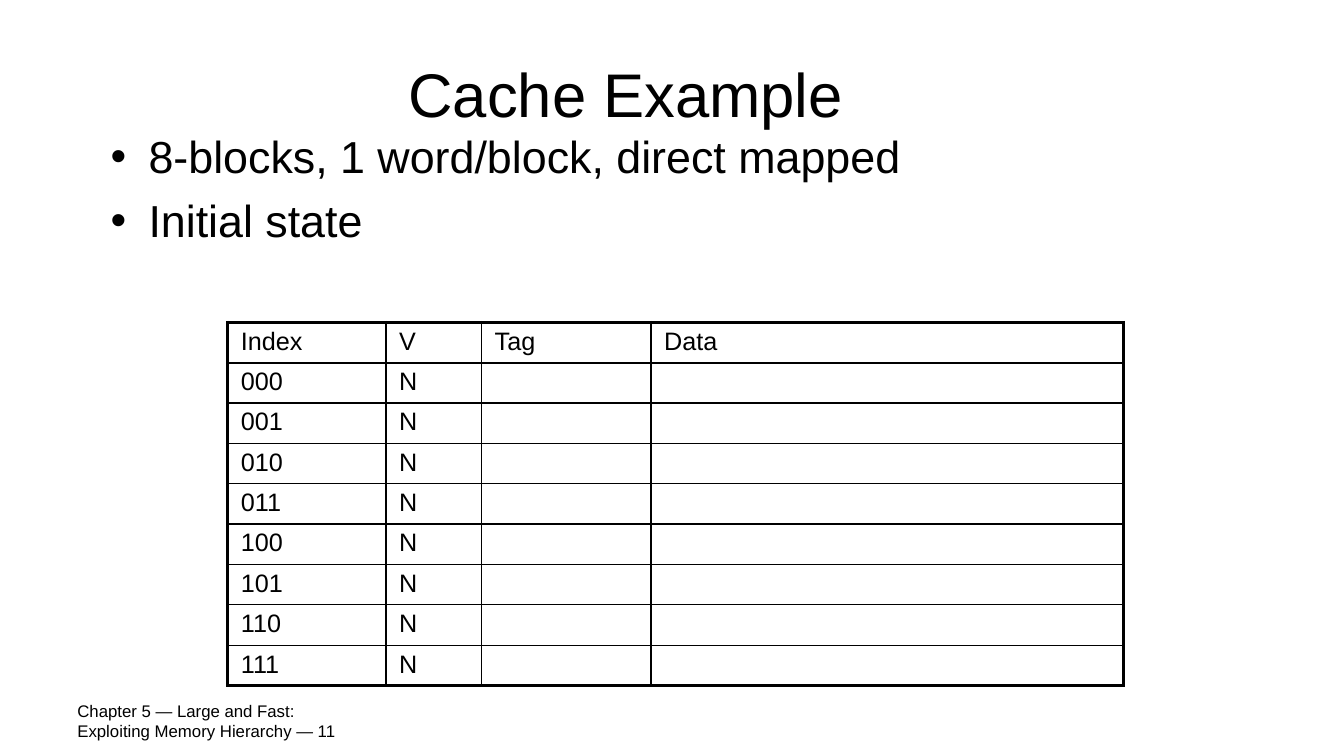
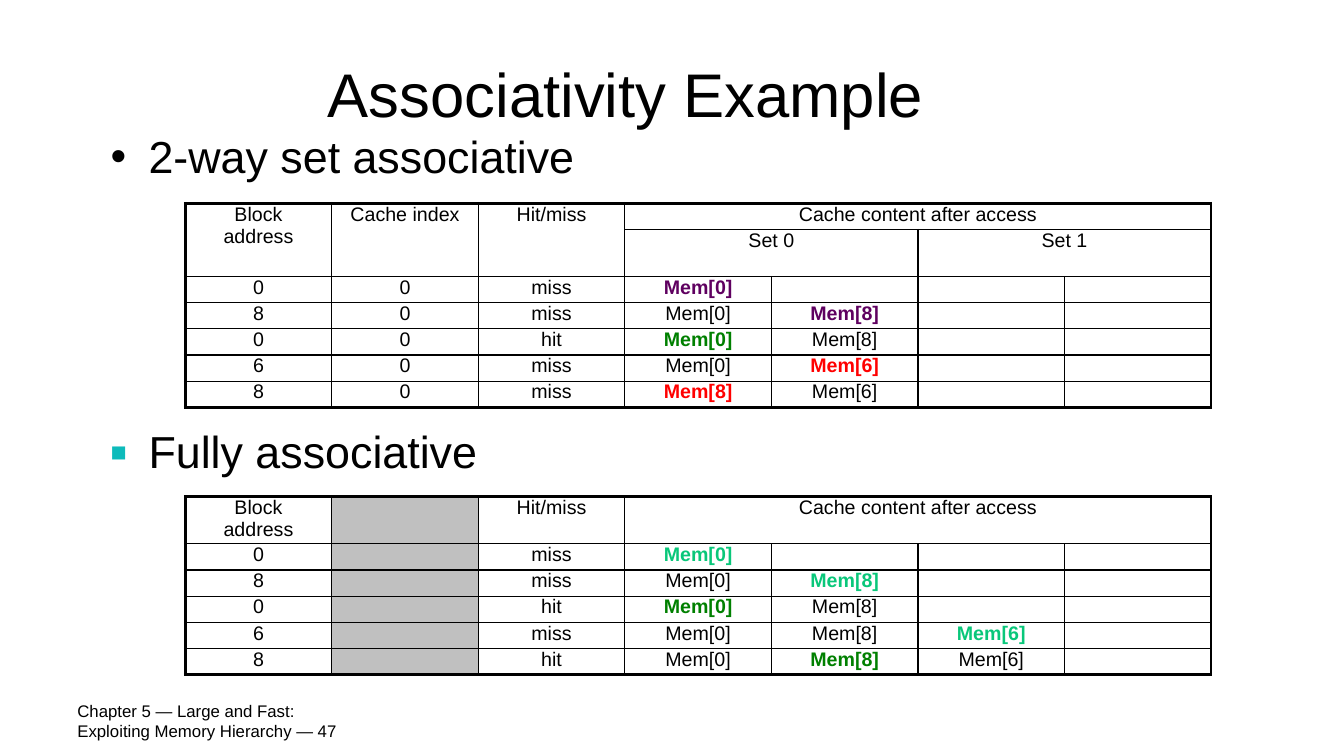
from lxml import etree
from pptx import Presentation
from pptx import util as u
from pptx.dml.color import RGBColor
from pptx.enum import text
from pptx.oxml.ns import qn

Pt = u.Pt
BLACK, GRAY, TEAL = "000000", "C0C0C0", "0DBBBB"
PURPLE, GREEN, RED, MINT = "5F0060", "008000", "FF0000", "09C77A"
THIN, HEADER_RULE, OUTER = 1, 1.5, 2.25
CENTER = text.PP_ALIGN.CENTER


def rgb(value):
    return RGBColor.from_string(value)


class Deck:
    font = "Arial"

    def __init__(self):
        self.prs = Presentation()
        self.prs.slide_width, self.prs.slide_height = Pt(960), Pt(540)
        self.s = None

    def slide(self, title, number):
        self.s = self.prs.slides.add_slide(self.prs.slide_layouts[6])
        footer = f"Chapter 5 — Large and Fast: Exploiting Memory Hierarchy — {number}"
        self.text(48.2, 500.4, 224, 28.8, [footer], 12, middle=True)
        self.text(48.2, 21.6, 797.8, 90, [title], 44, CENTER, middle=True)

    def style(self, p, size, color=BLACK, bold=False):
        f = p.font
        f.name, f.size, f.bold = self.font, Pt(size), bold
        f.color.rgb = rgb(color)

    def text(self, x, y, w, h, lines, size, align=None, middle=False):
        tf = self.s.shapes.add_textbox(Pt(x), Pt(y), Pt(w), Pt(h)).text_frame
        tf.word_wrap = True
        if middle:
            tf.vertical_anchor = text.MSO_ANCHOR.MIDDLE
        for i, line in enumerate(lines):
            p = tf.paragraphs[0] if i == 0 else tf.add_paragraph()
            p.text, p.alignment = line, align
            self.style(p, size)
        return tf

    def bullets(self, y, h, lines, char="•", color=None, scale=None, spacing=None):
        tf = self.text(72, y, 868, h, lines, 32)
        for i, p in enumerate(tf.paragraphs):
            if i:
                p.space_before = Pt(7.4)
            if spacing:
                p.line_spacing = spacing
            pPr = p._p.get_or_add_pPr()
            pPr.set("marL", str(Pt(27)))
            pPr.set("indent", str(-Pt(27)))
            marks = []
            if color:
                marks.append(etree.Element(qn("a:buClr")))
                etree.SubElement(marks[-1], qn("a:srgbClr"), val=color)
            if scale:
                marks.append(etree.Element(qn("a:buSzPct"), val=str(scale * 1000)))
            marks.append(etree.Element(qn("a:buFont"), typeface=self.font))
            marks.append(etree.Element(qn("a:buChar"), char=char))
            defaults = pPr.find(qn("a:defRPr"))
            for mark in marks:
                defaults.addprevious(mark)

    def borders(self, cell, widths):
        tcPr = cell._tc.get_or_add_tcPr()
        for i, (side, width) in enumerate(zip("LRTB", widths)):
            ln = etree.Element(qn(f"a:ln{side}"), w=str(Pt(width)))
            fill = etree.SubElement(ln, qn("a:solidFill"))
            etree.SubElement(fill, qn("a:srgbClr"), val=BLACK)
            tcPr.insert(i, ln)

    def table(self, x, y, cols, heights, rows, size, inset=0, align=None,
              spans=None, shaded=None, rule=THIN):
        spans = spans or {}
        n_rows, n_cols = len(heights), len(cols)
        frame = self.s.shapes.add_table(n_rows, n_cols, Pt(x), Pt(y),
                                        Pt(sum(cols)), Pt(sum(heights)))
        tbl = frame.table
        tbl.first_row = tbl.horz_banding = False
        for col, width in zip(tbl.columns, cols):
            col.width = Pt(width)
        for row, height in zip(tbl.rows, heights):
            row.height = Pt(height)
        for r in range(n_rows):
            for c in range(n_cols):
                cell = tbl.cell(r, c)
                down, across = spans.get((r, c), (1, 1))
                bottom, right = r + down, c + across
                if (down, across) != (1, 1):
                    cell.merge(tbl.cell(bottom - 1, right - 1))
                self.borders(cell, (
                    OUTER if c == 0 else THIN,
                    OUTER if right == n_cols else THIN,
                    OUTER if r == 0 else rule if r == 1 else THIN,
                    OUTER if bottom == n_rows else rule if r == 0 else THIN))
                if c == shaded:
                    cell.fill.solid()
                    cell.fill.fore_color.rgb = rgb(GRAY)
                else:
                    cell.fill.background()
                cell.margin_left = cell.margin_right = Pt(9.4)
                cell.margin_top = cell.margin_bottom = Pt(inset)
                value = rows[r][c] if c < len(rows[r]) else ""
                label, color = value if isinstance(value, tuple) else (value, BLACK)
                p = cell.text_frame.paragraphs[0]
                p.alignment = align
                if label:
                    p.text = label
                else:
                    etree.SubElement(p._p, qn("a:endParaRPr"), sz=str(size * 100))
                self.style(p, size, color, color != BLACK)


def cache_example(deck):
    deck.slide("Cache Example", 11)
    deck.bullets(88.6, 105, ["8-blocks, 1 word/block, direct mapped", "Initial state"])
    rows = [["Index", "V", "Tag", "Data"]] + [[f"{i:03b}", "N"] for i in range(8)]
    deck.table(162.7, 230.2, [113, 68.3, 121, 337.7], [28.8] * 9, rows, 18,
               inset=3.6, rule=HEADER_RULE)


def associativity_example(deck):
    deck.slide("Associativity Example", 47)
    x, cols, line = 132.3, [104.7] * 7, 18.7
    content = "Cache content after access"

    deck.bullets(88.6, 57, ["2-way set associative"])
    two_way = [
        ["Block address", "Cache index", "Hit/miss", content],
        ["", "", "", "Set 0", "", "Set 1"],
        ["0", "0", "miss", ("Mem[0]", PURPLE)],
        ["8", "0", "miss", "Mem[0]", ("Mem[8]", PURPLE)],
        ["0", "0", "hit", ("Mem[0]", GREEN), "Mem[8]"],
        ["6", "0", "miss", "Mem[0]", ("Mem[6]", RED)],
        ["8", "0", "miss", ("Mem[8]", RED), "Mem[6]"],
    ]
    spans = {(0, c): (2, 1) for c in range(3)}
    spans.update({(0, 3): (1, 4), (1, 3): (1, 2), (1, 5): (1, 2)})
    deck.table(x, 145.2, cols, [line, 31.4] + [line] * 5, two_way, 14,
               align=CENTER, spans=spans)

    deck.bullets(303.8, 45.4, ["Fully associative"], "■", TEAL, 60, 0.9)
    fully = [
        ["Block address", "", "Hit/miss", content],
        ["0", "", "miss", ("Mem[0]", MINT)],
        ["8", "", "miss", "Mem[0]", ("Mem[8]", MINT)],
        ["0", "", "hit", ("Mem[0]", GREEN), "Mem[8]"],
        ["6", "", "miss", "Mem[0]", "Mem[8]", ("Mem[6]", MINT)],
        ["8", "", "hit", "Mem[0]", ("Mem[8]", GREEN), "Mem[6]"],
    ]
    deck.table(x, 354.8, cols, [33.6] + [line] * 5, fully, 14,
               align=CENTER, spans={(0, 3): (1, 4)}, shaded=1)


def main():
    deck = Deck()
    cache_example(deck)
    associativity_example(deck)
    deck.prs.save("out.pptx")


if __name__ == "__main__":
    main()
